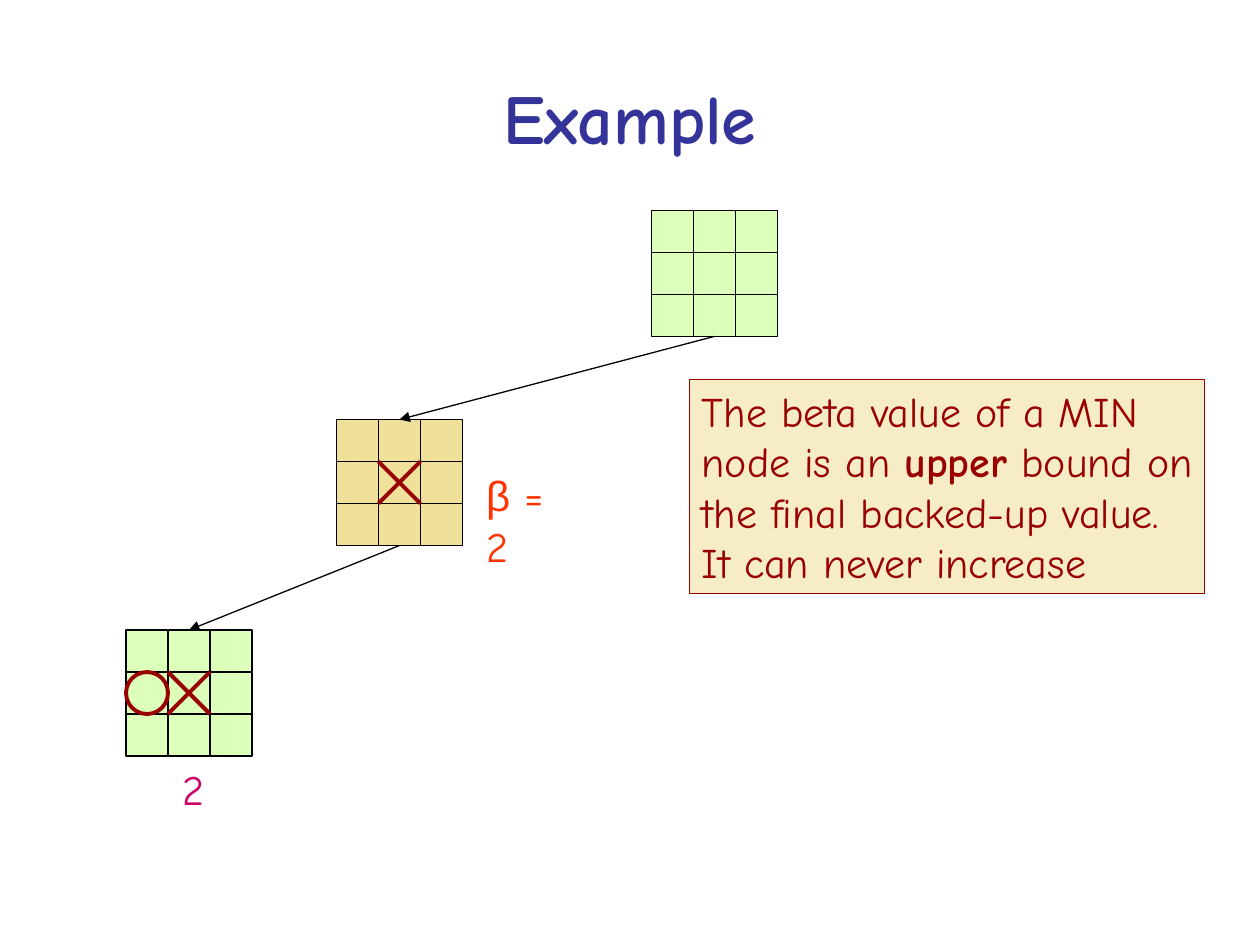
"""Builds a game-tree slide that explains the beta value of a MIN node."""
from lxml import etree
from pptx import Presentation
from pptx.dml.color import RGBColor
from pptx.enum import shapes, text
from pptx.oxml.ns import qn
from pptx.util import Inches, Pt

COLOURS = {
    "title": "333399", "ink": "000000", "mark": "990000", "max": "DCFFB9",
    "min": "F0E09A", "note": "F6EDC6", "beta": "FF3300", "score": "CC0066",
}
FONT = "Comic Neue"
BOARD = 1
CELL = BOARD / 3


def colour(name):
    return RGBColor.from_string(COLOURS[name])


def add_line(slide, start, end, ink="ink", weight=0.75, arrow=False):
    line = slide.shapes.add_connector(
        shapes.MSO_CONNECTOR.STRAIGHT, *(Inches(v) for v in (*start, *end)))
    line.line.color.rgb = colour(ink)
    line.line.width = Pt(weight)
    if arrow:
        etree.SubElement(line.line._get_or_add_ln(), qn("a:tailEnd"), type="triangle")
    etree.SubElement(line._element.spPr, qn("a:effectLst"))


def add_outline(slide, kind, box, fill=None, ink="ink", weight=0.75):
    outline = slide.shapes.add_shape(kind, *(Inches(v) for v in box))
    outline.shadow.inherit = False
    if fill:
        outline.fill.solid()
        outline.fill.fore_color.rgb = colour(fill)
    else:
        outline.fill.background()
    outline.line.color.rgb = colour(ink)
    outline.line.width = Pt(weight)
    return outline


def add_board(slide, left, top, fill):
    add_outline(slide, shapes.MSO_SHAPE.RECTANGLE, (left, top, BOARD, BOARD), fill)
    for step in (CELL, 2 * CELL):
        add_line(slide, (left + step, top), (left + step, top + BOARD))
        add_line(slide, (left, top + step), (left + BOARD, top + step))


def add_cross(slide, board_left, board_top):
    left, top = board_left + CELL, board_top + CELL
    right, bottom = left + CELL, top + CELL
    add_line(slide, (left, top), (right, bottom), "mark", 2.25)
    add_line(slide, (left, bottom), (right, top), "mark", 2.25)


def write(frame, lines, ink, size=24, wrap=True, align=text.PP_ALIGN.LEFT,
          anchor=text.MSO_ANCHOR.TOP):
    """Fills a frame with lines of (wording, font, bold) runs."""
    frame.word_wrap = wrap
    frame.vertical_anchor = anchor
    for index, runs in enumerate(lines):
        paragraph = frame.paragraphs[0] if index == 0 else frame.add_paragraph()
        paragraph.alignment = align
        for wording, font, bold in runs:
            run = paragraph.add_run()
            run.text = wording
            run.font.name = font
            run.font.size = Pt(size)
            run.font.bold = bold
            run.font.color.rgb = colour(ink)


def add_label(slide, box, runs, ink, **style):
    label = slide.shapes.add_textbox(*(Inches(v) for v in box))
    write(label.text_frame, [runs], ink, **style)


def add_note(slide):
    note = add_outline(slide, shapes.MSO_SHAPE.RECTANGLE, (5.47, 3.01, 4.09, 1.7),
                       "note", "mark")
    write(note.text_frame, [
        [("The beta value of a MIN", FONT, False)],
        [("node is an ", FONT, False), ("upper", FONT, True), (" bound on", FONT, False)],
        [("the final backed-up value.", FONT, False)],
        [("It can never increase", FONT, False)],
    ], "mark", wrap=False)


def main():
    deck = Presentation()
    deck.slide_width, deck.slide_height = Inches(10), Inches(7.5)
    slide = deck.slides.add_slide(deck.slide_layouts[6])
    root, reply, leaf = (5.17, 1.67), (2.67, 3.33), (1, 5)

    add_label(slide, (0.5, 0.3, 9, 1.25), [("Example", FONT, True)], "title", size=40,
              align=text.PP_ALIGN.CENTER, anchor=text.MSO_ANCHOR.MIDDLE)
    for board, fill in ((root, "max"), (reply, "min"), (leaf, "max")):
        add_board(slide, *board, fill)
    for board in (reply, leaf):
        add_cross(slide, *board)
    add_outline(slide, shapes.MSO_SHAPE.OVAL, (leaf[0], leaf[1] + CELL, CELL, CELL),
                ink="mark", weight=2.25)
    for parent, child in ((root, reply), (reply, leaf)):
        add_line(slide, (parent[0] + BOARD / 2, parent[1] + BOARD),
                 (child[0] + BOARD / 2, child[1]), arrow=True)
    add_label(slide, (3.76, 3.68, 0.9, 0.5),
              [("β", "Arial", False), (" = 2", FONT, False)], "beta")
    add_label(slide, (1.35, 6.01, 0.37, 0.5), [("2", FONT, False)], "score", wrap=False)
    add_note(slide)
    deck.save("out.pptx")


if __name__ == "__main__":
    main()
